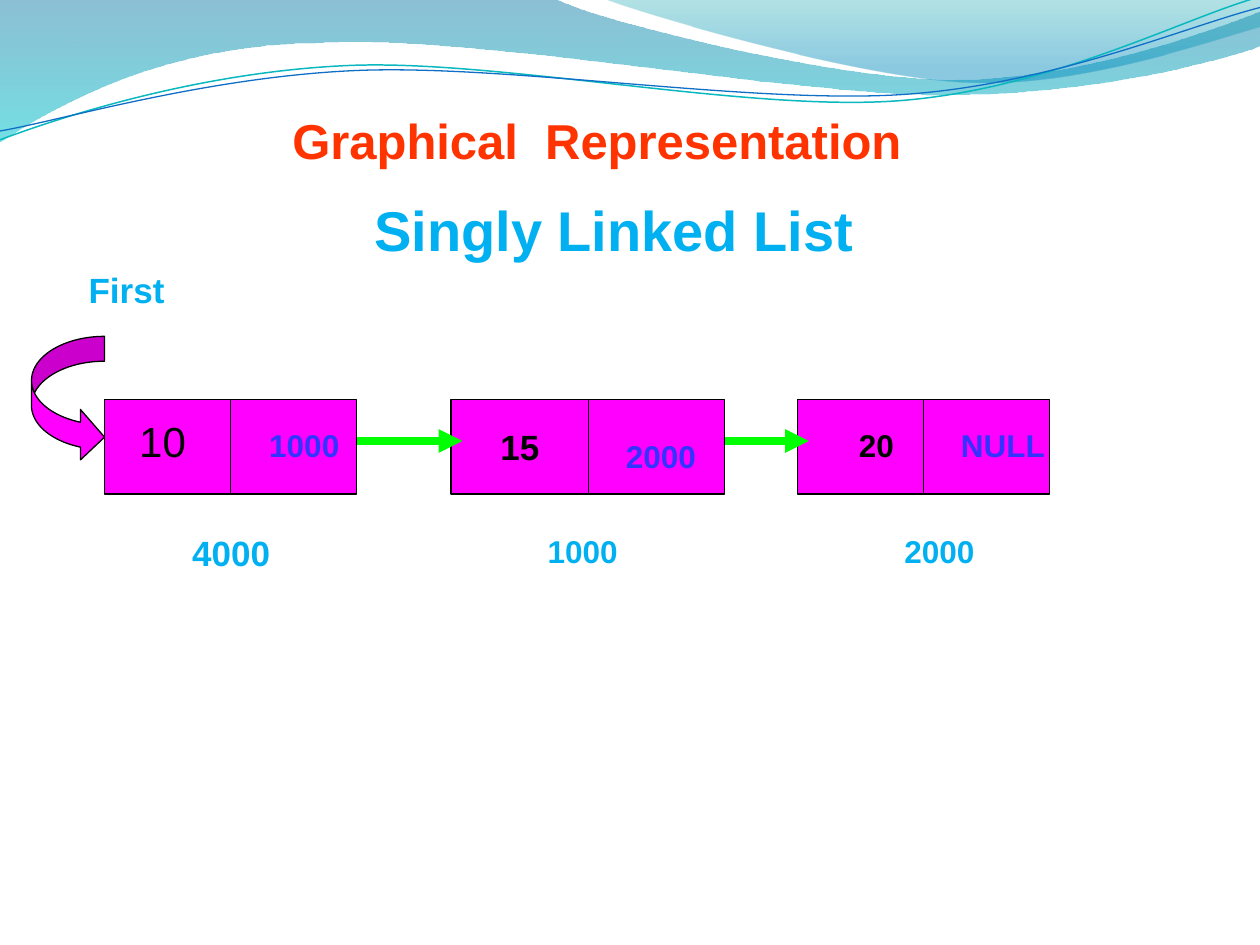
"""Build a slide that draws a singly linked list of three nodes."""
from math import cos, radians, sin

from lxml.etree import SubElement
from pptx import Presentation
from pptx.dml.color import RGBColor
from pptx.enum.shapes import MSO_CONNECTOR, MSO_SHAPE
from pptx.enum.text import PP_ALIGN
from pptx.oxml.ns import qn
from pptx.util import Inches, Pt

BLACK = RGBColor(0x00, 0x00, 0x00)
MAGENTA = RGBColor(0xFF, 0x00, 0xFF)
GREEN = RGBColor(0x00, 0xFF, 0x00)
SKY = RGBColor(0x00, 0xB0, 0xF0)
BLUE = RGBColor(0x33, 0x33, 0xFF)
ORANGE = RGBColor(0xFF, 0x33, 0x00)
TEAL_LINE = RGBColor(0x0A, 0xB8, 0xBF)
BLUE_LINE = RGBColor(0x0F, 0x6F, 0xC6)
WAVE_BLUE = RGBColor(0x00, 0x74, 0xA1)
WAVE_CYAN = RGBColor(0x00, 0xC6, 0xCF)
CREST_TEAL = RGBColor(0x00, 0xA1, 0xA9)
CREST_BLUE = RGBColor(0x00, 0x8B, 0xBF)

WAVES = [
    ([(0, -0.01), (4.4, -0.01), (4.76, 0.17, 6.64, 0.63, 7.58, 0.63),
      (8.53, 0.63, 9.58, 0.26, 10, 0.09), (10.01, 0.36),
      (9.83, 0.44, 8.7, 0.76, 7.46, 0.75),
      (6.22, 0.75, 3.82, 0.28, 2.57, 0.34),
      (1.29, 0.35, 0.46, 0.83, -0.01, 1.13)],
     [(0, WAVE_BLUE, 45), (1, WAVE_CYAN, 55)]),
    ([(4.79, -0.01), (5.09, 0.11, 6.82, 0.62, 7.69, 0.65),
      (8.56, 0.69, 9.61, 0.32, 10, 0.21), (10, 0)],
     [(0, CREST_TEAL, 30), (0.8, CREST_BLUE, 45)]),
]
TILT = 2.7
RIPPLES = [
    ([(0, 1.11), (0.48, 0.93, 1.58, 0.57, 2.77, 0.52),
      (3.95, 0.47, 5.93, 0.89, 7.13, 0.8),
      (8.33, 0.71, 9.38, 0.15, 9.98, -0.02)], (4.99, 0.57), TEAL_LINE, 0.85),
    ([(0, 1.04), (0.47, 0.96, 1.64, 0.61, 2.83, 0.56),
      (4.03, 0.51, 5.97, 0.83, 7.17, 0.75),
      (8.36, 0.67, 9.41, 0.21, 10, 0.06)], (5, 0.59), BLUE_LINE, 0.75),
]
NODE_TOP, NODE_HEIGHT, LINK_Y = 3.17, 0.75, 3.5
NODES = [(0.83, 2, 1.83), (3.58, 2.17, 4.67), (6.33, 2, 7.33)]
LINKS = [(2.83, 3.67), (5.75, 6.42)]
TITLE = ("Graphical  Representation", 0.42, 0.33, 9.08, 28, ORANGE, True)
LABELS = [
    ("Singly Linked List", 2.25, 1.5, 5.25, 32, SKY, True),
    ("First", 0.42, 2.08, 1.17, 20, SKY, True),
    ("10", 1, 3.25, 0.58, 24, BLACK, False),
    ("1000", 2, 3.33, 0.83, 18, BLUE, True),
    ("4000", 1.17, 4.17, 1.33, 20, SKY, True),
    ("15", 3.75, 3.33, 0.75, 20, BLACK, True),
    ("2000", 4.83, 3.42, 0.83, 18, BLUE, True),
    ("1000", 3.75, 4.17, 1.75, 18, SKY, True),
    ("20", 6.58, 3.33, 0.75, 18, BLACK, True),
    ("NULL", 7.5, 3.33, 0.92, 18, BLUE, True),
    ("2000", 6.58, 4.17, 1.75, 18, SKY, True),
]


def add_path(page, path, close):
    """Add a freeform of straight and cubic segments, without a shadow."""
    segments = [[Inches(number) for number in segment] for segment in path]
    builder = page.shapes.build_freeform(*segments[0], scale=1.0)
    builder.add_line_segments([segment[-2:] for segment in segments[1:]], close=close)
    shape = builder.convert_to_shape()
    shape.shadow.inherit = False
    left, top = shape.left, shape.top
    lines = list(shape.element.spPr.iter(qn("a:lnTo")))
    for line, segment in zip(lines, segments[1:]):
        if len(segment) == 6:
            curve = SubElement(line.getparent(), qn("a:cubicBezTo"))
            line.getparent().replace(line, curve)
            for x, y in zip(segment[::2], segment[1::2]):
                SubElement(curve, qn("a:pt"), x=str(x - left), y=str(y - top))
    return shape


def turn(path, center, angle):
    """Turn every point of a path clockwise around a center."""
    cosine, sine = cos(radians(angle)), sin(radians(angle))
    turned = []
    for segment in path:
        numbers = []
        for x, y in zip(segment[::2], segment[1::2]):
            across, down = x - center[0], y - center[1]
            numbers += [center[0] + across * cosine - down * sine,
                        center[1] + across * sine + down * cosine]
        turned.append(numbers)
    return turned


def add_wave(page, path, stops):
    """Add a filled wave with a translucent vertical gradient."""
    wave = add_path(page, path, True)
    wave.line.fill.background()
    wave.fill.gradient()
    wave.fill.gradient_angle = 270
    for stop, (position, color, _) in zip(wave.fill.gradient_stops, stops):
        stop.position = position
        stop.color.rgb = color
    colors = list(wave.element.spPr.iter(qn("a:srgbClr")))
    for color, (_, _, opacity) in zip(colors, stops):
        SubElement(color, qn("a:alpha"), val=str(opacity * 1000))


def add_ripple(page, path, center, color, width):
    """Add a tilted thin curve."""
    ripple = add_path(page, turn(path, center, TILT), False)
    ripple.rotation = 360 - TILT
    ripple.fill.background()
    ripple.line.color.rgb = color
    ripple.line.width = Pt(width)


def add_block(page, preset, left, top, width, height):
    """Add a magenta shape with a thin black outline."""
    block = page.shapes.add_shape(preset, Inches(left), Inches(top), Inches(width), Inches(height))
    block.shadow.inherit = False
    block.fill.solid()
    block.fill.fore_color.rgb = MAGENTA
    block.line.color.rgb = BLACK
    block.line.width = Pt(0.75)
    return block


def add_line(page, start, end, color, width, arrow=False):
    """Add a straight line, with an arrowhead at its end if wanted."""
    line = page.shapes.add_connector(MSO_CONNECTOR.STRAIGHT, *map(Inches, start + end))
    line.line.color.rgb = color
    line.line.width = Pt(width)
    if arrow:
        SubElement(line.element.spPr.find(qn("a:ln")), qn("a:tailEnd"), type="triangle")
    SubElement(line.element.spPr, qn("a:effectLst"))


def add_label(page, text, left, top, width, size, color, bold):
    """Add one centred line of text."""
    height = size * 1.2 / 72 + 0.1
    box = page.shapes.add_textbox(Inches(left), Inches(top), Inches(width), Inches(height))
    frame = box.text_frame
    frame.text = text
    frame.word_wrap = True
    para = frame.paragraphs[0]
    para.alignment = PP_ALIGN.CENTER
    font = para.runs[0].font
    font.name, font.size, font.bold = "Arial", Pt(size), bold
    font.color.rgb = color
    return box


def main():
    """Build and save the deck."""
    deck = Presentation()
    deck.slide_width, deck.slide_height = Inches(10), Inches(7.5)
    page = deck.slides.add_slide(deck.slide_layouts[6])
    for path, stops in WAVES:
        add_wave(page, path, stops)
    for ripple in RIPPLES:
        add_ripple(page, *ripple)
    title = add_label(page, *TITLE)
    title.height = Inches(6.01)
    title.text_frame.margin_left, title.text_frame.margin_top = Inches(1.9), Inches(0.55)
    title.text_frame.paragraphs[0].alignment = PP_ALIGN.LEFT
    for left, width, divider in NODES:
        add_block(page, MSO_SHAPE.RECTANGLE, left, NODE_TOP, width, NODE_HEIGHT)
        add_line(page, (divider, NODE_TOP), (divider, NODE_TOP + NODE_HEIGHT), BLACK, 0.75)
    for start, end in LINKS:
        add_line(page, (start, LINK_Y), (end, LINK_Y), GREEN, 4.5, arrow=True)
    pointer = add_block(page, MSO_SHAPE.CURVED_RIGHT_ARROW, 0.25, 2.67, 0.58, 1)
    for index, value in enumerate((0.34, 0.69, 0.33)):
        pointer.adjustments[index] = value
    for label in LABELS:
        add_label(page, *label)
    deck.save("out.pptx")


if __name__ == "__main__":
    main()
